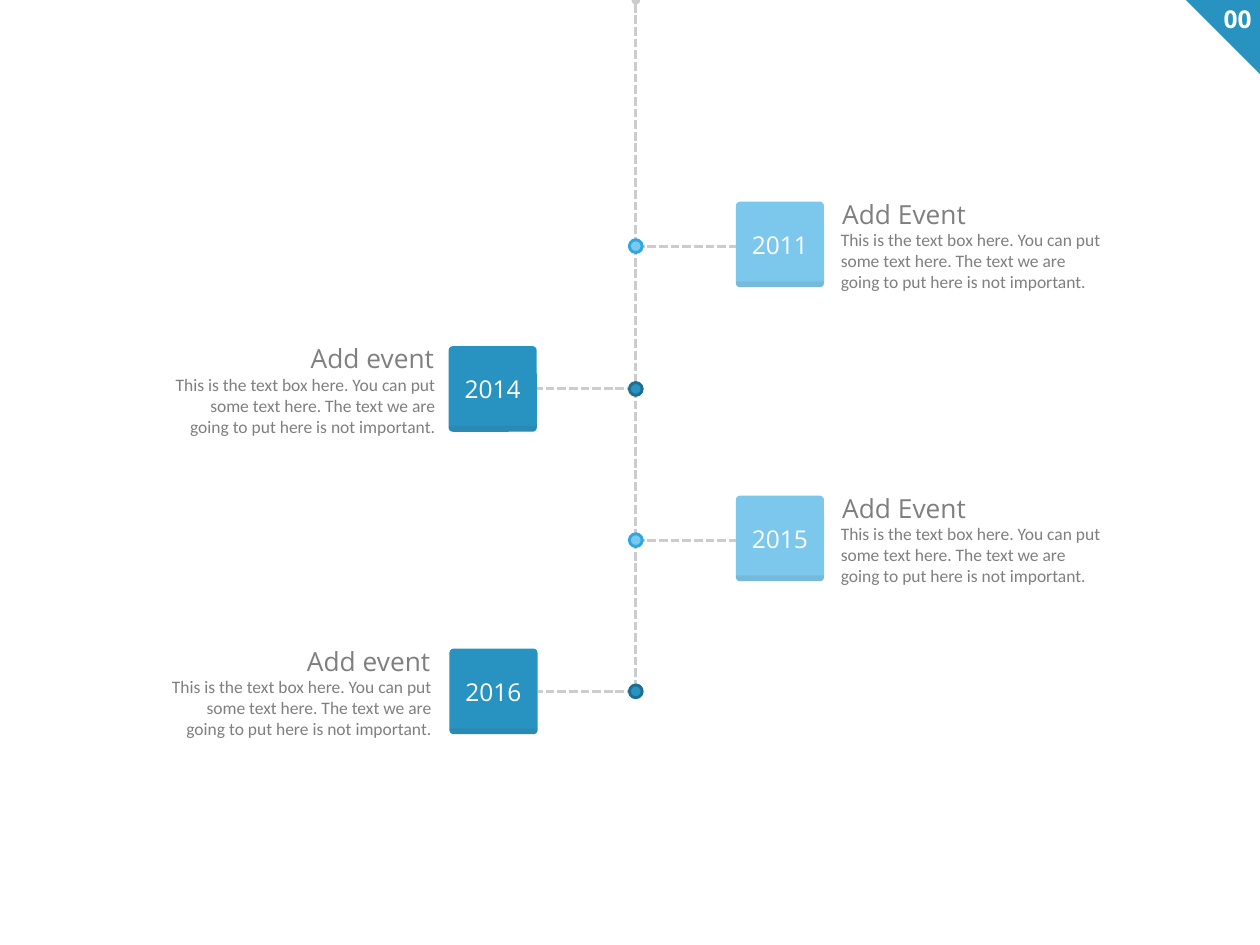
"""Build a vertical timeline slide with events on alternating sides."""
from dataclasses import dataclass
from itertools import pairwise

from lxml.etree import SubElement
from pptx import Presentation
from pptx.dml.color import RGBColor
from pptx.enum.dml import MSO_LINE
from pptx.enum.shapes import MSO_CONNECTOR, MSO_SHAPE as Shape
from pptx.enum.text import MSO_ANCHOR, MSO_AUTO_SIZE, PP_ALIGN as Align
from pptx.oxml.ns import qn
from pptx.util import Pt

WHITE, GREY, DASH, BLUE, SHADE = "FFFFFF", "7F7F7F", "CCCCCC", "2893C1", "404040"
HEADING_FONT, BODY_FONT = "Open Sans", "Calibri"
SPINE_X = 545
DOT = 11
CARD_WIDTH, CARD_HEIGHT, EDGE_HEIGHT = 75.6, 73.4, 5
TITLE_WIDTH, TITLE_HEIGHT = 121.3, 34.6
BODY_WIDTH, BODY_HEIGHT = 237.6, 62
BODY_TEXT = (
    "This is the text box here. You can put some text here. "
    "The text we are going to put here is not important."
)


@dataclass(frozen=True)
class Side:
    align: Align
    fill: str
    ring: str
    card_rise: float
    card_site: int
    title: str


@dataclass(frozen=True)
class Event:
    year: str
    side: Side
    y: float
    card_left: float
    text_edge: float


LEFT = Side(Align.RIGHT, BLUE, "1E6E91", CARD_HEIGHT / 2, 3, "Add event")
RIGHT = Side(Align.LEFT, "7CC8EC", "2DA7E1", 38.2, 1, "Add Event")
EVENTS = [
    Event("2011", RIGHT, 211, 630.7, 713.6),
    Event("2014", LEFT, 333.4, 384.5, 380.2),
    Event("2015", RIGHT, 463, 630.7, 713.6),
    Event("2016", LEFT, 592.6, 385.2, 377),
]


def colour(target, value: str) -> None:
    """Apply a hex colour to a fill or a font."""
    if hasattr(target, "solid"):
        target.solid()
        target.fore_color.rgb = RGBColor.from_string(value)
    else:
        target.color.rgb = RGBColor.from_string(value)


def write(shape, text: str, size: float, font: str, ink: str, align: Align, bold=False) -> None:
    """Fill a shape with one formatted paragraph."""
    shape.text_frame.text = text
    para = shape.text_frame.paragraphs[0]
    para.alignment = align
    span = para.runs[0]
    span.font.size, span.font.name, span.font.bold = Pt(size), font, bold
    colour(span.font, ink)


def add_box(shapes, left: float, top: float, width: float, height: float, wrap: bool):
    """Add a text box that grows with its text."""
    box = shapes.add_textbox(Pt(left), Pt(top), Pt(width), Pt(height))
    box.text_frame.word_wrap = wrap
    box.text_frame.auto_size = MSO_AUTO_SIZE.SHAPE_TO_FIT_TEXT
    return box


def add_solid(shapes, kind: Shape, left: float, top: float, width: float, height: float,
              fill: str, adjustments=()):
    """Add a flat preset shape without outline or shadow."""
    shape = shapes.add_shape(kind, Pt(left), Pt(top), Pt(width), Pt(height))
    shape.shadow.inherit = False
    for index, value in enumerate(adjustments):
        shape.adjustments[index] = value
    colour(shape.fill, fill)
    shape.line.fill.background()
    return shape


def add_dashes(shapes, x1: float, y1: float, x2: float, y2: float, round_ends=False):
    """Add a dashed straight connector, with oval ends if wanted."""
    line = shapes.add_connector(MSO_CONNECTOR.STRAIGHT, Pt(x1), Pt(y1), Pt(x2), Pt(y2))
    colour(line.line.fill, DASH)
    line.line.width = Pt(2.5)
    line.line.dash_style = MSO_LINE.SQUARE_DOT
    properties = line._element.spPr
    if round_ends:
        for end in ("a:headEnd", "a:tailEnd"):
            SubElement(properties.find(qn("a:ln")), qn(end), type="oval")
    SubElement(properties, qn("a:effectLst"))
    return line


def add_card(shapes, event: Event, top: float):
    """Add the year card with its translucent lower edge."""
    card = add_solid(shapes, Shape.ROUNDED_RECTANGLE, event.card_left, top,
                     CARD_WIDTH, CARD_HEIGHT, event.side.fill, [0.05])
    card.text_frame.vertical_anchor = MSO_ANCHOR.MIDDLE
    write(card, event.year, 21, HEADING_FONT, WHITE, Align.CENTER)
    edge = add_solid(shapes, Shape.ROUND_2_SAME_RECTANGLE, event.card_left,
                     top + CARD_HEIGHT - EDGE_HEIGHT, CARD_WIDTH, EDGE_HEIGHT, SHADE, [0, 0.5])
    tint = edge._element.spPr.find(qn("a:solidFill")).find(qn("a:srgbClr"))
    SubElement(tint, qn("a:alpha"), val="10000")
    return card


def add_event(page, event: Event) -> None:
    """Add an event's texts, card, branch and dot."""
    side = event.side
    top = event.y - side.card_rise
    on_left = side is LEFT
    title_left = event.text_edge - TITLE_WIDTH - 1 if on_left else event.text_edge + 1.2
    body_left = event.text_edge - BODY_WIDTH if on_left else event.text_edge
    group = page.shapes.add_group_shape().shapes
    title = add_box(group, title_left, top - 6.8, TITLE_WIDTH, TITLE_HEIGHT, False)
    write(title, side.title, 22.5, HEADING_FONT, GREY, side.align)
    body = add_box(group, body_left, top + 20, BODY_WIDTH, BODY_HEIGHT, True)
    write(body, BODY_TEXT, 15, BODY_FONT, GREY, side.align)
    card = add_card(group, event, top)

    branch_end = event.card_left + (CARD_WIDTH if on_left else 0)
    branch = add_dashes(page.shapes, SPINE_X, event.y, branch_end, event.y)
    if on_left:
        branch.end_connect(card, side.card_site)
    dot = add_solid(page.shapes, Shape.OVAL, SPINE_X - DOT / 2, event.y - DOT / 2,
                    DOT, DOT, side.fill)
    colour(dot.line.fill, side.ring)
    dot.line.width = Pt(2.5)


def add_corner(page) -> None:
    """Add the page number in its corner triangle."""
    group = page.shapes.add_group_shape().shapes
    corner = add_solid(group, Shape.ISOSCELES_TRIANGLE, 1016, -0.5, 64, 64, BLUE, [0])
    corner.rotation = 180
    number = add_box(group, 1041, -0.5, 39, 32.4, False)
    write(number, "00", 21, HEADING_FONT, WHITE, Align.RIGHT, bold=True)


def main() -> None:
    """Build and save the deck."""
    deck = Presentation()
    deck.slide_width, deck.slide_height = Pt(1080), Pt(810)
    page = deck.slides.add_slide(deck.slide_layouts[6])
    add_corner(page)
    stops = [0] + [event.y for event in EVENTS]
    for start, end in pairwise(stops):
        add_dashes(page.shapes, SPINE_X, start, SPINE_X, end, round_ends=start == 0)
    for event in EVENTS:
        add_event(page, event)
    deck.save("out.pptx")


if __name__ == "__main__":
    main()
